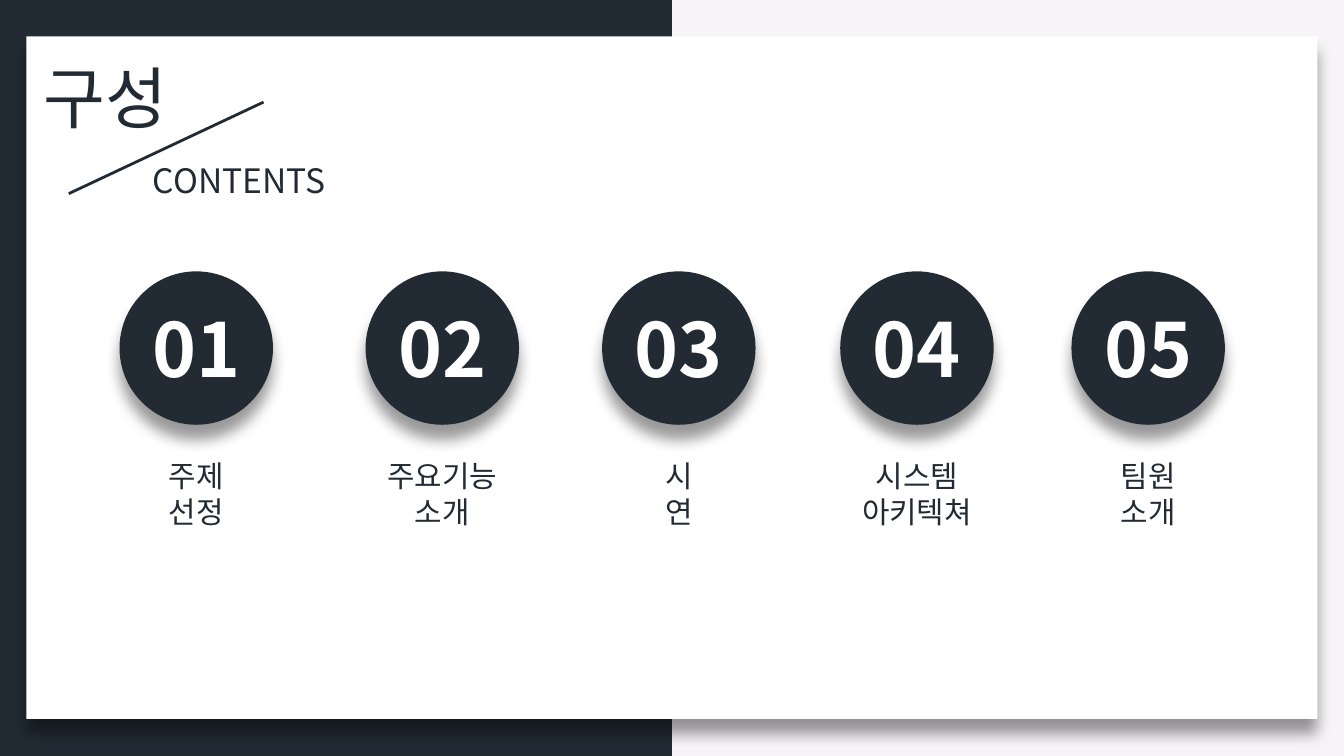
import pptx
import pptx.util
import pptx.dml.color
import pptx.enum.lang
import pptx.enum.shapes
import pptx.enum.text
import pptx.oxml
import pptx.oxml.ns
from pptx.util import Cm

FONT = "Noto Sans CJK KR"
NAVY, WHITE, PALE = "222B34", "FFFFFF", "F6F4F7"
SLIDE_WIDTH, SLIDE_HEIGHT = 25.4, 14.29

TITLE, SUBTITLE = "구성", "CONTENTS"
# center and label width, in centimetres
SECTIONS = [
    ("주제 선정", 3.71, 2.67),
    ("주요기능 소개", 8.36, 3.68),
    ("시연", 12.83, 1.52),
    ("시스템 아키텍쳐", 17.33, 4.19),
    ("팀원 소개", 21.7, 2.67),
]
CIRCLE_TOP, CIRCLE_SIZE = 5.13, 2.9
NUMBER_TOP, NUMBER_WIDTH, NUMBER_HEIGHT = 5.6, 2.18, 1.96
LABEL_TOP, LABEL_HEIGHT = 8.53, 0.94

SHADOW = (
    '<a:effectLst {}><a:outerShdw blurRad="{}" dist="{}" dir="5400000" algn="t" '
    'rotWithShape="0"><a:srgbClr val="000000"><a:alpha val="40000"/></a:srgbClr>'
    "</a:outerShdw></a:effectLst>"
)


def color(value):
    return pptx.dml.color.RGBColor.from_string(value)


def add_shape(slide, kind, left, top, width, height, fill, shadow=False):
    shape = slide.shapes.add_shape(kind, Cm(left), Cm(top), Cm(width), Cm(height))
    shape.fill.solid()
    shape.fill.fore_color.rgb = color(fill)
    shape.line.fill.background()
    if shadow:
        length = pptx.util.Pt(8)
        xml = SHADOW.format(pptx.oxml.ns.nsdecls("a"), length, length)
        shape.element.spPr.append(pptx.oxml.parse_xml(xml))
    else:
        shape.shadow.inherit = False


def add_text(slide, text, *, left, top, width, height, size,
             fill=NAVY, bold=False, centered=False, wrap=False):
    box = slide.shapes.add_textbox(Cm(left), Cm(top), Cm(width), Cm(height))
    box.text_frame.word_wrap = wrap
    paragraph = box.text_frame.paragraphs[0]
    if centered:
        paragraph.alignment = pptx.enum.text.PP_ALIGN.CENTER
    run = paragraph.add_run()
    run.text = text
    font = run.font
    font.name, font.size, font.bold = FONT, pptx.util.Pt(size), bold
    font.color.rgb = color(fill)
    font.language_id = pptx.enum.lang.MSO_LANGUAGE_ID.KOREAN
    properties = run._r.get_or_add_rPr()
    east_asian = properties.makeelement(pptx.oxml.ns.qn("a:ea"), {"typeface": FONT})
    properties.find(pptx.oxml.ns.qn("a:latin")).addnext(east_asian)


def add_line(slide, start, end):
    line = slide.shapes.add_connector(
        pptx.enum.shapes.MSO_CONNECTOR.STRAIGHT, *map(Cm, start + end))
    line.line.color.rgb = color(NAVY)
    line.line.width = pptx.util.Pt(1.5)
    effects = f"<a:effectLst {pptx.oxml.ns.nsdecls('a')}/>"
    line.element.spPr.append(pptx.oxml.parse_xml(effects))


def main():
    presentation = pptx.Presentation()
    presentation.slide_width = Cm(SLIDE_WIDTH)
    presentation.slide_height = Cm(SLIDE_HEIGHT)
    slide = presentation.slides.add_slide(presentation.slide_layouts[6])
    slide.background.fill.solid()
    slide.background.fill.fore_color.rgb = color(PALE)

    rectangle = pptx.enum.shapes.MSO_SHAPE.RECTANGLE
    oval = pptx.enum.shapes.MSO_SHAPE.OVAL
    add_shape(slide, rectangle, 0, 0, SLIDE_WIDTH / 2, SLIDE_HEIGHT, NAVY)
    add_shape(slide, rectangle, 0.5, 0.69, 24.4, 12.9, WHITE, shadow=True)

    add_text(slide, TITLE, left=0.58, top=0.94, width=2.84, height=1.8, size=36)
    add_line(slide, (4.98, 1.93), (1.3, 3.66))
    add_text(slide, SUBTITLE, left=2.64, top=2.9, width=3.84, height=1.02, size=18)

    for number, (label, center, label_width) in enumerate(SECTIONS, 1):
        add_shape(slide, oval, center - CIRCLE_SIZE / 2, CIRCLE_TOP,
                  CIRCLE_SIZE, CIRCLE_SIZE, NAVY, shadow=True)
        add_text(slide, label, left=center - label_width / 2, top=LABEL_TOP,
                 width=label_width, height=LABEL_HEIGHT, size=16,
                 centered=True, wrap=True)
        add_text(slide, f"{number:02}", left=center - NUMBER_WIDTH / 2, top=NUMBER_TOP,
                 width=NUMBER_WIDTH, height=NUMBER_HEIGHT, size=40,
                 fill=WHITE, bold=True, centered=True)

    presentation.save("out.pptx")


if __name__ == "__main__":
    main()
